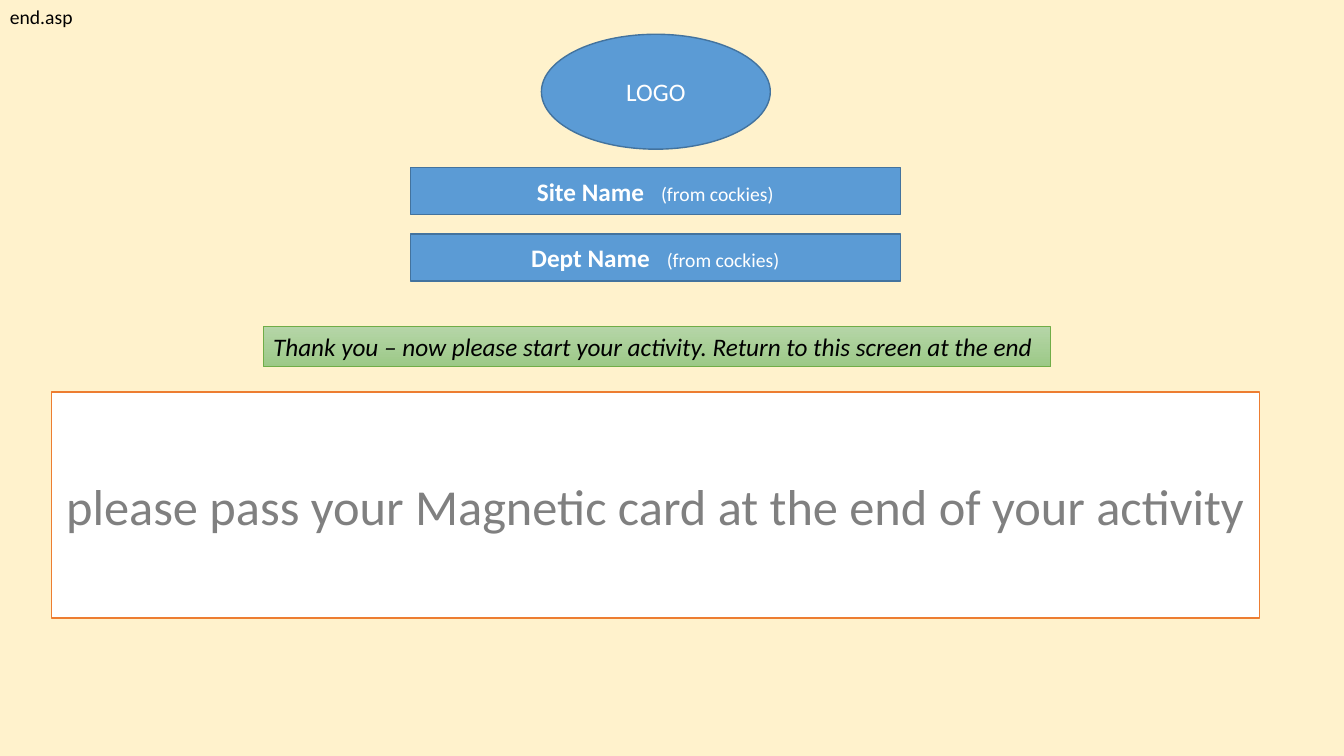
from pptx import Presentation
from pptx.dml.color import RGBColor
from pptx.enum.shapes import MSO_SHAPE
from pptx.enum.text import MSO_ANCHOR, PP_ALIGN
from pptx.util import Inches, Pt

RECTANGLE, OVAL = MSO_SHAPE.RECTANGLE, MSO_SHAPE.OVAL
TOP, MIDDLE = MSO_ANCHOR.TOP, MSO_ANCHOR.MIDDLE
LEFT, CENTER = PP_ALIGN.LEFT, PP_ALIGN.CENTER

CREAM = RGBColor(0xFF, 0xF2, 0xCC)
BLUE = RGBColor(0x5B, 0x9B, 0xD5)
DARK_BLUE = RGBColor(0x43, 0x73, 0x9E)
ORANGE = RGBColor(0xED, 0x7D, 0x31)
GREEN = RGBColor(0x70, 0xAD, 0x47)
LIGHT_GREEN = RGBColor(0xB5, 0xD5, 0xA7)
MID_GREEN = RGBColor(0x9C, 0xC9, 0x87)
GRAY = RGBColor(0x80, 0x80, 0x80)
WHITE = RGBColor(0xFF, 0xFF, 0xFF)
BLACK = RGBColor(0x00, 0x00, 0x00)


class ScreenBuilder:
    """Draw the elements of a screen mock-up in one shared style."""

    font_name = "Calibri"
    label_gap = 800

    def __init__(self, slide):
        self.slide = slide

    def background(self, color):
        """Fill the slide background."""
        fill = self.slide.background.fill
        fill.solid()
        fill.fore_color.rgb = color

    def run(self, paragraph, text, color, spacing=None, **font_format):
        """Add a formatted run, optionally with extra character spacing."""
        run = paragraph.add_run()
        run.text = text
        run.font.color.rgb = color
        for name, value in {"name": self.font_name, **font_format}.items():
            setattr(run.font, name, value)
        if spacing:
            run._r.get_or_add_rPr().set("spc", str(spacing))

    def text_box(self, box, text, color, size):
        """Add a single-line text box."""
        text_frame = self.slide.shapes.add_textbox(*map(Inches, box)).text_frame
        text_frame.word_wrap = False
        self.run(text_frame.paragraphs[0], text, color, size=Pt(size))

    def panel(self, kind, box, fill, line, line_width=1, anchor=MIDDLE, alignment=CENTER):
        """Add a filled shape and return its paragraph; two fill colors make a gradient."""
        shape = self.slide.shapes.add_shape(kind, *map(Inches, box))
        shape.shadow.inherit = False
        if isinstance(fill, RGBColor):
            shape.fill.solid()
            shape.fill.fore_color.rgb = fill
        else:
            shape.fill.gradient()
            shape.fill.gradient_angle = 270
            for stop, color in zip(shape.fill.gradient_stops, fill):
                stop.color.rgb = color
        shape.line.color.rgb = line
        shape.line.width = Pt(line_width)
        shape.text_frame.word_wrap = True
        shape.text_frame.vertical_anchor = anchor
        paragraph = shape.text_frame.paragraphs[0]
        paragraph.alignment = alignment
        return paragraph

    def name_bar(self, box, label, note):
        """Add a blue bar with a bold label and a smaller note."""
        paragraph = self.panel(RECTANGLE, box, BLUE, DARK_BLUE)
        self.run(paragraph, label, WHITE, size=Pt(18), bold=True)
        self.run(paragraph, " ", WHITE, self.label_gap, size=Pt(18), bold=True)
        self.run(paragraph, note, WHITE, size=Pt(14), bold=False)


presentation = Presentation()
presentation.slide_width = Inches(13.33)
presentation.slide_height = Inches(7.5)
screen = ScreenBuilder(presentation.slides.add_slide(presentation.slide_layouts[6]))

screen.background(CREAM)
screen.text_box((0, 0, 0.83, 0.34), "end.asp", BLACK, 14)

logo = screen.panel(OVAL, (5.37, 0.34, 2.27, 1.14), BLUE, DARK_BLUE)
screen.run(logo, "LOGO", WHITE, size=Pt(18))

for index, label in enumerate(("Site Name", "Dept Name")):
    screen.name_bar((4.07, 1.66 + 0.66 * index, 4.86, 0.47), label, "(from cockies)")

card_prompt = screen.panel(RECTANGLE, (0.51, 3.89, 11.98, 2.24), WHITE, ORANGE)
screen.run(card_prompt, "please pass your Magnetic card at the end of your activity", GRAY, size=Pt(36))

thanks = screen.panel(RECTANGLE, (2.61, 3.24, 7.81, 0.4), (LIGHT_GREEN, MID_GREEN), GREEN, 0.5, TOP, LEFT)
screen.run(
    thanks,
    "Thank you – now please start your activity. Return to this screen at the end",
    BLACK,
    size=Pt(18),
    italic=True,
)

presentation.save("out.pptx")
